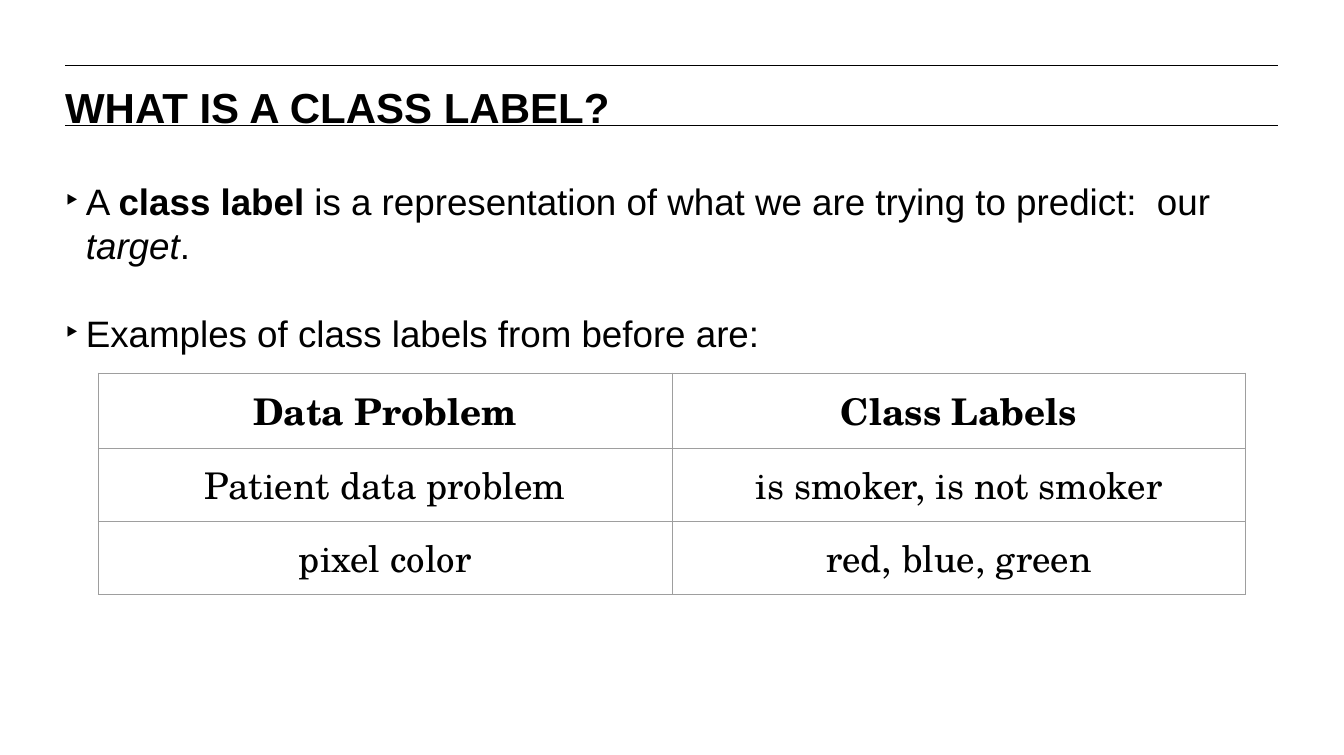
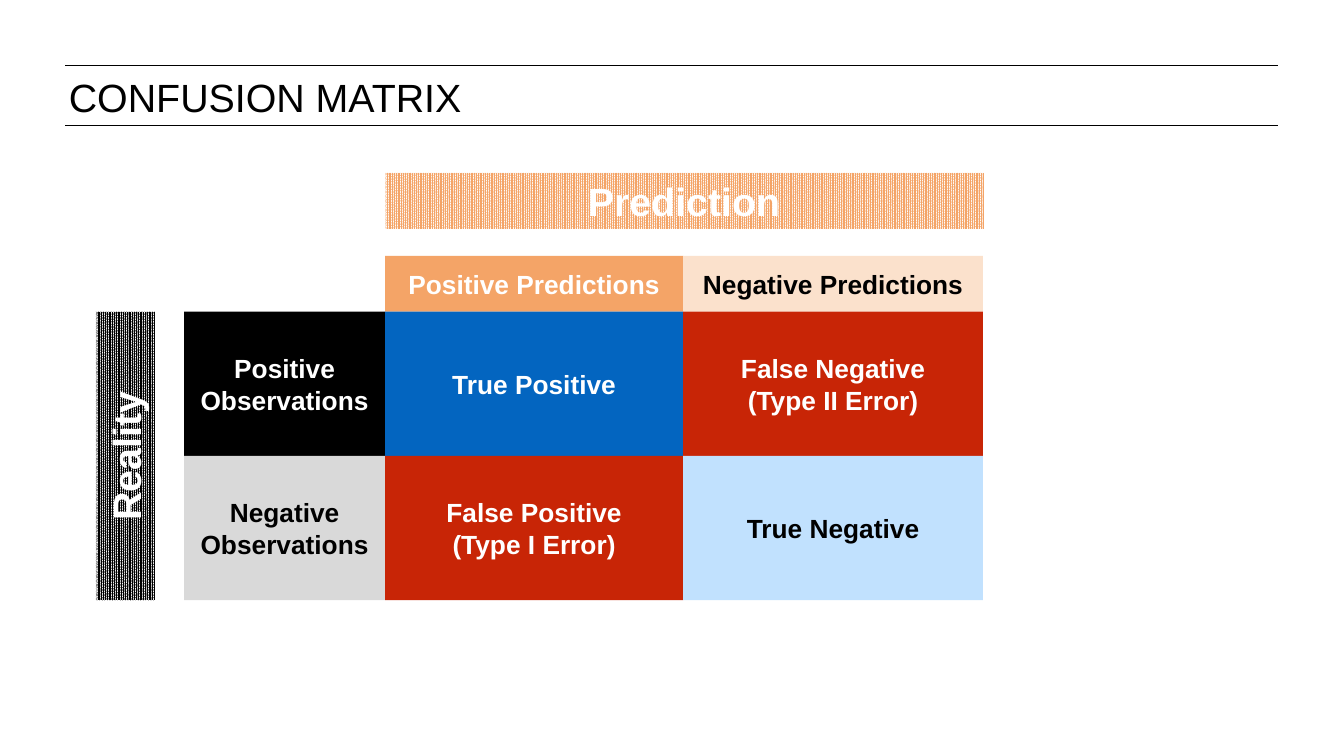
from lxml import etree
from pptx import Presentation
from pptx import util as u
from pptx.dml import color
from pptx.enum import dml, shapes, text
from pptx.oxml import ns

# Shared style
SANS, SERIF = "Arial", "TeX Gyre Schola"
BLACK, WHITE, GREY = "000000", "FFFFFF", "9E9E9E"
ORANGE, PEACH, SILVER = "F4A467", "FBE1CC", "D9D9D9"
BLUE, SKY, RED = "0365C0", "C1E1FE", "C82506"
SLIDE_WIDTH, SLIDE_HEIGHT = 36.12, 20.3
LEFT, CONTENT_WIDTH = 1.75, 32.6
RULES_Y = (1.76, 3.38)


def rgb(value):
    return color.RGBColor.from_string(value)


def place(left, top, width, height):
    return [u.Cm(value) for value in (left, top, width, height)]


def child(parent, tag, **attributes):
    return etree.SubElement(parent, ns.qn(tag), attributes)


def add_span(para, content, size, tone=BLACK, bold=False, italic=False, face=SANS):
    span = para.add_run()
    span.text = content
    font = span.font
    font.name, font.size, font.bold, font.italic = face, u.Pt(size), bold, italic
    font.color.rgb = rgb(tone)


def add_box(page, left, top, width, height):
    box = page.shapes.add_textbox(*place(left, top, width, height))
    frame = box.text_frame
    frame.word_wrap = True
    frame.margin_left = frame.margin_right = frame.margin_top = frame.margin_bottom = 0
    return frame


def add_rule(page, y):
    start, end = u.Cm(LEFT), u.Cm(LEFT + CONTENT_WIDTH)
    rule = page.shapes.add_connector(
        shapes.MSO_CONNECTOR.STRAIGHT, start, u.Cm(y), end, u.Cm(y))
    rule.line.color.rgb = rgb(BLACK)
    rule.line.width = u.Pt(0.75)
    child(rule.element.spPr, "a:effectLst")


def add_page(deck, title, left, top, size, bold):
    """Blank page with the two rules and a title between them."""
    page = deck.slides.add_slide(deck.slide_layouts[6])
    for y in RULES_Y:
        add_rule(page, y)
    frame = add_box(page, left, top, CONTENT_WIDTH, 1.2)
    add_span(frame.paragraphs[0], title, size, bold=bold)
    return page


def add_bullets(page, top, height, bullets):
    """Each bullet is a list of (text, style) spans."""
    frame = add_box(page, LEFT, top, CONTENT_WIDTH, height)
    indent = u.Cm(0.56)
    for index, spans in enumerate(bullets):
        para = frame.add_paragraph() if index else frame.paragraphs[0]
        para.line_spacing = para.space_after = u.Pt(33.5)
        properties = para._p.get_or_add_pPr()
        properties.set("marL", str(indent))
        properties.set("indent", str(-indent))
        tone = child(properties, "a:buClr")
        child(tone, "a:srgbClr", val=BLACK)
        child(properties, "a:buFont", typeface=SANS)
        child(properties, "a:buChar", char="‣")
        for content, style in spans:
            add_span(para, content, 28, **style)


def style_cell(cell, content, bold):
    cell.margin_left = cell.margin_right = u.Cm(0.25)
    cell.margin_top = cell.margin_bottom = u.Cm(0.25)
    para = cell.text_frame.paragraphs[0]
    para.alignment = text.PP_ALIGN.CENTER
    add_span(para, content, 28, bold=bold, face=SERIF)
    properties = cell._tc.get_or_add_tcPr()
    for side in ("L", "R", "T", "B"):
        line = child(properties, f"a:ln{side}", w=str(u.Pt(0.75)))
        child(child(line, "a:solidFill"), "a:srgbClr", val=GREY)
    cell.fill.background()


def add_grid(page, left, top, width, heights, rows):
    """Table whose first row is the bold header."""
    frame = page.shapes.add_table(
        len(rows), len(rows[0]), *place(left, top, width, sum(heights)))
    table = frame.table
    table.first_row = table.horz_banding = False
    for row_index, (height, row) in enumerate(zip(heights, rows)):
        table.rows[row_index].height = u.Cm(height)
        for column_index, content in enumerate(row):
            style_cell(table.cell(row_index, column_index), content, row_index == 0)


def add_block(page, area, content, fill, tone=WHITE, size=20, dotted=False, turn=0):
    """Rectangle with centred bold text, solid or dotted."""
    block = page.shapes.add_shape(shapes.MSO_SHAPE.RECTANGLE, *place(*area))
    block.shadow.inherit = False
    block.rotation = turn
    block.line.fill.background()
    if dotted:
        block.fill.patterned()
        block.fill.pattern = dml.MSO_PATTERN.PERCENT_90
        block.fill.fore_color.rgb = rgb(fill)
        block.fill.back_color.rgb = rgb(WHITE)
    else:
        block.fill.solid()
        block.fill.fore_color.rgb = rgb(fill)
    frame = block.text_frame
    frame.word_wrap = True
    frame.vertical_anchor = text.MSO_ANCHOR.MIDDLE
    for index, line in enumerate(content.split("\n")):
        para = frame.add_paragraph() if index else frame.paragraphs[0]
        para.alignment = text.PP_ALIGN.CENTER
        add_span(para, line, size, tone, bold=True)


def build_class_label(deck):
    page = add_page(deck, "WHAT IS A CLASS LABEL?", LEFT, 2.18, 32, True)
    add_bullets(page, 4.81, 5, [
        [("A ", {}), ("class label", {"bold": True}),
         (" is a representation of what we are trying to predict:  our ", {}),
         ("target", {"italic": True}), (".", {})],
        [("Examples of class labels from before are:", {})],
    ])
    add_grid(page, 2.64, 10.03, 30.84, (2.04, 1.95, 1.95), [
        ("Data Problem", "Class Labels"),
        ("Patient data problem", "is smoker, is not smoker"),
        ("pixel color", "red, blue, green"),
    ])


def build_confusion_matrix(deck):
    page = add_page(deck, "CONFUSION MATRIX", 1.85, 1.97, 30, False)
    # Column and row edges of the matrix, headers included
    xs = (4.95, 10.35, 18.36, 26.42)
    ys = (6.88, 8.38, 12.26, 16.14)
    matrix = [
        [None, ("Positive Predictions", ORANGE), ("Negative Predictions", PEACH, BLACK)],
        [("Positive Observations", BLACK), ("True Positive", BLUE),
         ("False Negative\n(Type II Error)", RED)],
        [("Negative Observations", SILVER, BLACK), ("False Positive\n(Type I Error)", RED),
         ("True Negative", SKY, BLACK)],
    ]
    for row, top, bottom in zip(matrix, ys, ys[1:]):
        for entry, left, right in zip(row, xs, xs[1:]):
            if entry:
                add_block(page, (left, top, right - left, bottom - top), *entry)
    # Axis bands; the vertical one is turned about its centre
    add_block(page, (xs[1], 4.65, xs[3] - xs[1], 1.5), "Prediction", ORANGE,
              size=30, dotted=True)
    length, thickness = ys[3] - ys[1], 1.58
    centre_x, centre_y = 3.37, (ys[1] + ys[3]) / 2
    add_block(page, (centre_x - length / 2, centre_y - thickness / 2, length, thickness),
              "Reality", BLACK, size=30, dotted=True, turn=270)


def main():
    deck = Presentation()
    deck.slide_width, deck.slide_height = u.Cm(SLIDE_WIDTH), u.Cm(SLIDE_HEIGHT)
    build_class_label(deck)
    build_confusion_matrix(deck)
    deck.save("out.pptx")


if __name__ == "__main__":
    main()
